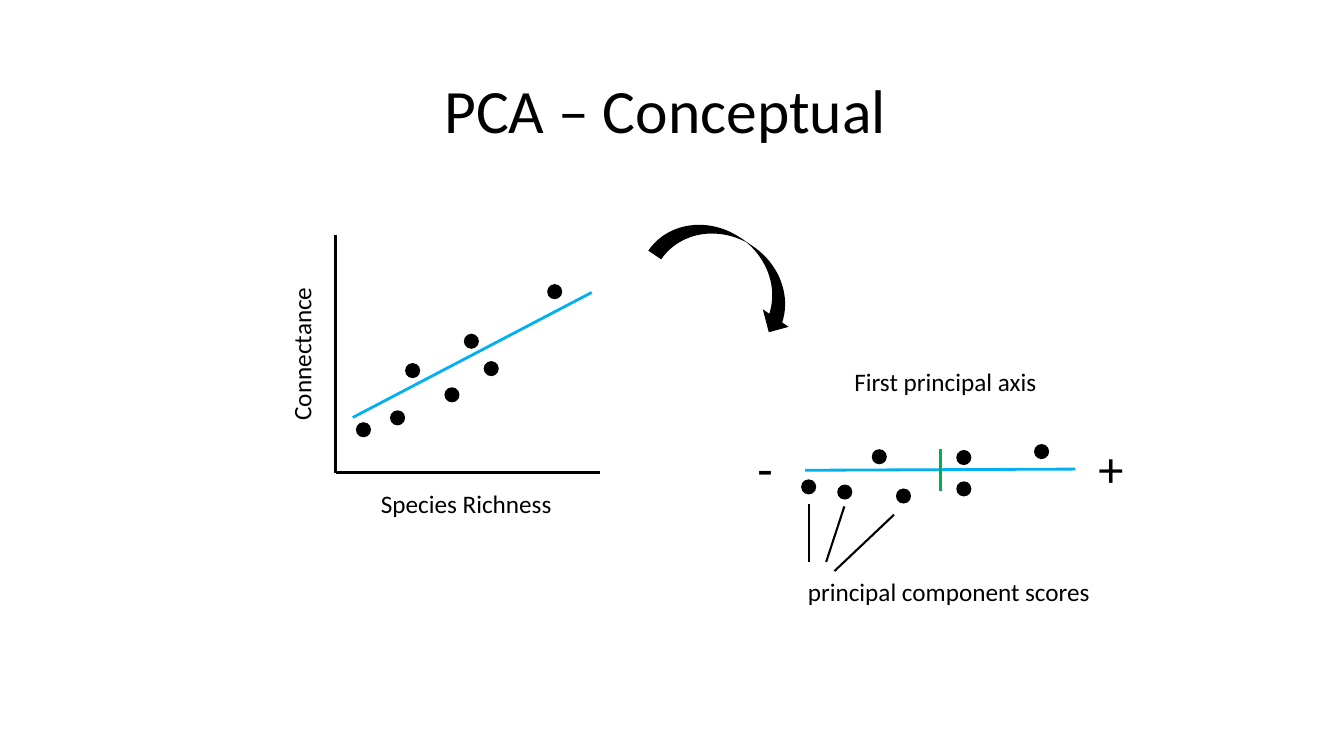
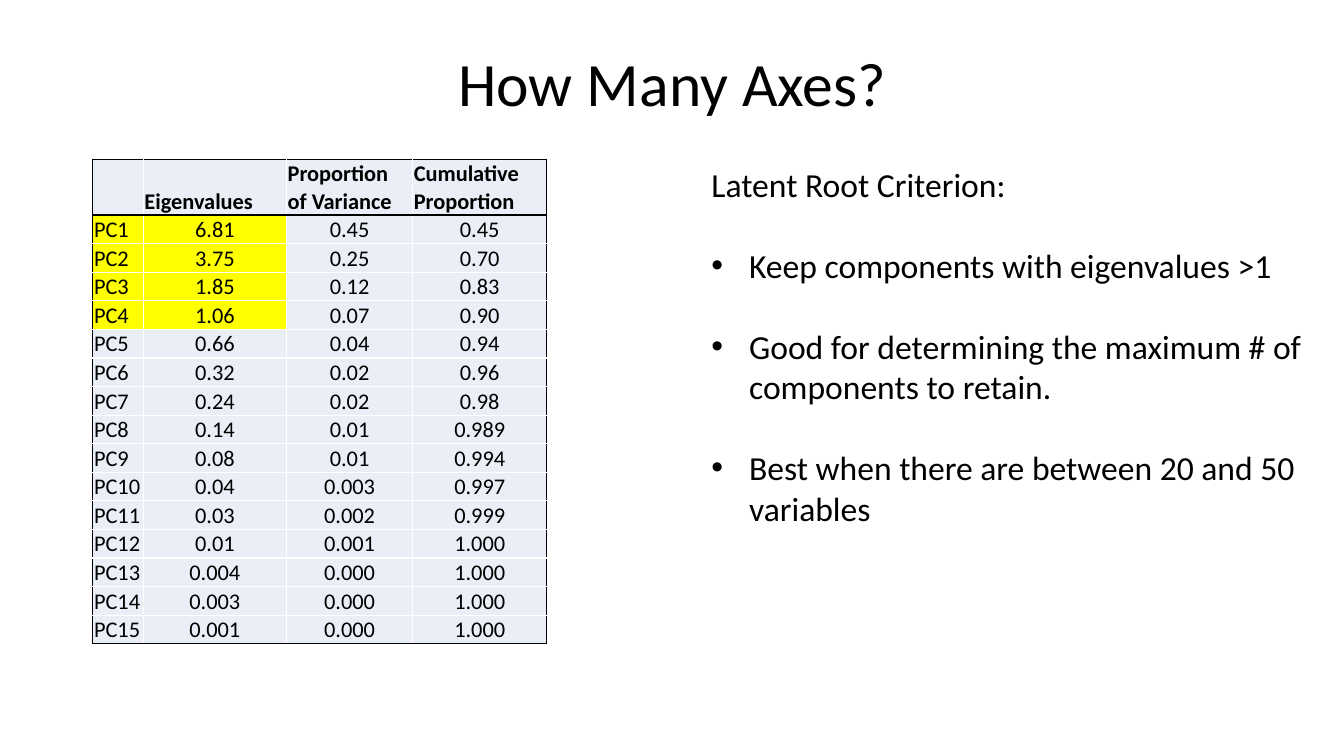
from dataclasses import dataclass

from lxml import etree
from pptx import Presentation
from pptx import util as u
from pptx.dml.color import RGBColor
from pptx.enum import shapes, text
from pptx.oxml import ns


@dataclass(frozen=True)
class Theme:
    font: str = "Calibri"
    ink: str = "000000"
    axis: str = "00B0F0"
    origin: str = "00B050"
    cell: str = "EAEFF7"
    highlight: str = "FFFF00"
    grid: str = "FFFFFF"
    title_size: int = 44
    sign_size: int = 36
    body_size: int = 24
    label_size: int = 18
    table_size: int = 16
    heavy: float = 2
    light: float = 1.5
    border: float = 1


THEME = Theme()
DOT = 0.38
LABEL_HEIGHT = 1.02

SCATTER_POINTS = [(1.94, 3.42), (1.56, 4.61), (2.93, 4.03), (3.42, 2.68),
                  (3.92, 3.37), (5.52, 1.43), (0.7, 4.91)]
SCORE_POINTS = [(1.87, -0.34), (1, 0.55), (2.48, 0.65), (4, -0.32),
                (4, 0.47), (5.96, -0.47), (0.09, 0.42)]
LEADERS = [((0.1, 0.86), (0.1, 2.31)), ((0.99, 0.91), (0.53, 2.31)),
           ((2.24, 1.12), (0.74, 2.54))]

HEADINGS = ["", "Eigenvalues", "Proportion of Variance", "Cumulative Proportion"]
COMPONENTS = [
    ("6.81", "0.45", "0.45"),
    ("3.75", "0.25", "0.70"),
    ("1.85", "0.12", "0.83"),
    ("1.06", "0.07", "0.90"),
    ("0.66", "0.04", "0.94"),
    ("0.32", "0.02", "0.96"),
    ("0.24", "0.02", "0.98"),
    ("0.14", "0.01", "0.989"),
    ("0.08", "0.01", "0.994"),
    ("0.04", "0.003", "0.997"),
    ("0.03", "0.002", "0.999"),
    ("0.01", "0.001", "1.000"),
    ("0.004", "0.000", "1.000"),
    ("0.003", "0.000", "1.000"),
    ("0.001", "0.000", "1.000"),
]
CRITERIA = ["Keep components with eigenvalues >1",
            "Good for determining the maximum # of components to retain.",
            "Best when there are between 20 and 50 variables"]


def apply(target, values):
    for name, value in values.items():
        setattr(target, name, value)


def write(paragraph, content, size, bold=False):
    run = paragraph.add_run()
    run.text = content
    apply(run.font, {"name": THEME.font, "size": u.Pt(size), "bold": bold})
    run.font.color.rgb = RGBColor.from_string(THEME.ink)


def add_text(parent, box, content, size, wrap=False, rotation=0):
    shape = parent.add_textbox(*map(u.Cm, box))
    shape.rotation = rotation
    shape.text_frame.word_wrap = wrap
    write(shape.text_frame.paragraphs[0], content, size)
    return shape.text_frame


def add_solid(parent, preset, box, rotation=0):
    shape = parent.add_shape(preset, *map(u.Cm, box))
    shape.shadow.inherit = False
    shape.rotation = rotation
    shape.fill.solid()
    shape.fill.fore_color.rgb = RGBColor.from_string(THEME.ink)
    shape.line.fill.background()


def add_line(parent, origin, start, end, color=THEME.ink, width=THEME.heavy):
    left, top = origin
    points = (left + start[0], top + start[1], left + end[0], top + end[1])
    connector = parent.add_connector(shapes.MSO_CONNECTOR.STRAIGHT, *map(u.Cm, points))
    connector.line.color.rgb = RGBColor.from_string(color)
    connector.line.width = u.Pt(width)
    etree.SubElement(connector._element.spPr, ns.qn("a:effectLst"))


def add_dots(parent, origin, points):
    for x, y in points:
        add_solid(parent, shapes.MSO_SHAPE.OVAL,
                  (origin[0] + x - DOT / 2, origin[1] + y - DOT / 2, DOT, DOT))


def add_title(slide, content, top):
    frame = add_text(slide.shapes, (2.34, top, 29.21, 3.68), content,
                     THEME.title_size, wrap=True)
    frame.vertical_anchor = text.MSO_ANCHOR.MIDDLE
    apply(frame.paragraphs[0], {"alignment": text.PP_ALIGN.CENTER, "line_spacing": 0.9})


def add_scatter(slide, box):
    left, top, width, height = box
    origin = (left, top)
    group = slide.shapes.add_group_shape().shapes
    add_line(group, origin, (0, 0), (0, height))
    add_line(group, origin, (0, height), (width, height))
    add_text(group, (left + 0.89, top + height + 0.26, 4.85, LABEL_HEIGHT),
             "Species Richness", THEME.label_size)
    add_text(group, (left - 2.82, top + 2.46, 3.91, LABEL_HEIGHT),
             "Connectance", THEME.label_size, rotation=270)
    add_dots(group, origin, SCATTER_POINTS)
    add_line(group, origin, (0.43, 4.6), (6.45, 1.45), THEME.axis)


def add_principal_axis(slide, origin, length):
    left, top = origin
    group = slide.shapes.add_group_shape().shapes
    add_dots(group, origin, SCORE_POINTS)
    add_line(group, origin, (0, 0), (length, -0.03), THEME.axis)
    add_line(group, origin, (length / 2, -0.53), (length / 2, 0.53), THEME.origin)
    for start, end in LEADERS:
        add_line(group, origin, start, end, width=THEME.light)
    labels = [
        ((0.99, -2.74, 5.16, LABEL_HEIGHT), "First principal axis", THEME.label_size),
        ((-0.18, 2.54, 7.7, LABEL_HEIGHT), "principal component scores", THEME.label_size),
        ((-1.45, -0.97, 0.91, 1.8), "-", THEME.sign_size),
        ((length + 0.33, -0.97, 1.14, 1.8), "+", THEME.sign_size),
    ]
    for (x, y, width, height), content, size in labels:
        add_text(group, (left + x, top + y, width, height), content, size)


def set_border(cell, side, color):
    line = etree.SubElement(cell._tc.get_or_add_tcPr(), ns.qn("a:ln" + side),
                            w=str(u.Pt(THEME.border)))
    fill = etree.SubElement(line, ns.qn("a:solidFill"))
    etree.SubElement(fill, ns.qn("a:srgbClr"), val=color)


def add_eigenvalue_table(slide, origin):
    widths = (1.27, 3.61, 3.18, 3.38)
    heights = [1.41] + [0.72] * len(COMPONENTS)
    rows = [HEADINGS] + [(f"PC{number}", *values)
                         for number, values in enumerate(COMPONENTS, 1)]
    box = (*origin, sum(widths), sum(heights))
    table = slide.shapes.add_table(len(rows), len(widths), *map(u.Cm, box)).table
    apply(table, {"first_row": False, "horz_banding": False})
    for column, width in zip(table.columns, widths):
        column.width = u.Cm(width)
    for r, values in enumerate(rows):
        table.rows[r].height = u.Cm(heights[r])
        for c, value in enumerate(values):
            cell = table.cell(r, c)
            dark = {"L": c == 0, "R": c == len(widths) - 1,
                    "T": r <= 1, "B": r in (0, len(rows) - 1)}
            for side, is_dark in dark.items():
                set_border(cell, side, THEME.ink if is_dark else THEME.grid)
            apply(cell, {"margin_left": u.Cm(0.03), "margin_right": u.Cm(0.03),
                         "margin_top": u.Cm(0.03), "margin_bottom": 0,
                         "vertical_anchor": text.MSO_ANCHOR.BOTTOM})
            retained = r > 0 and c < 2 and float(rows[r][1]) > 1
            cell.fill.solid()
            cell.fill.fore_color.rgb = RGBColor.from_string(
                THEME.highlight if retained else THEME.cell)
            if value:
                paragraph = cell.text_frame.paragraphs[0]
                write(paragraph, value, THEME.table_size, bold=r == 0)
                if r and c:
                    paragraph.alignment = text.PP_ALIGN.CENTER


def add_criteria(slide, box):
    frame = add_text(slide.shapes, box, "Latent Root Criterion:", THEME.body_size, wrap=True)
    indent = u.Cm(0.95)
    for criterion in CRITERIA:
        paragraph = frame.add_paragraph()
        paragraph.space_before = u.Pt(29)
        write(paragraph, criterion, THEME.body_size)
        properties = paragraph._p.get_or_add_pPr()
        properties.set("marL", str(indent))
        properties.set("indent", str(-indent))
        etree.SubElement(properties, ns.qn("a:buFont"), typeface="Arial")
        etree.SubElement(properties, ns.qn("a:buChar"), char="•")


def build_concept_slide(slide):
    add_title(slide, "PCA – Conceptual ", 1.02)
    add_scatter(slide, (8.46, 5.92, 6.65, 5.99))
    add_principal_axis(slide, (20.29, 11.85), 6.81)
    add_solid(slide.shapes, shapes.MSO_SHAPE.CURVED_DOWN_ARROW,
              (16.43, 6.02, 4.06, 1.57), rotation=34.1)


def build_axes_slide(slide):
    add_title(slide, "How Many Axes?", 0.33)
    add_eigenvalue_table(slide, (2.34, 4.01))
    add_criteria(slide, (17.68, 4.01, 15.7, 11.02))


def main():
    presentation = Presentation()
    apply(presentation, {"slide_width": u.Cm(33.87), "slide_height": u.Cm(19.05)})
    for build in (build_concept_slide, build_axes_slide):
        build(presentation.slides.add_slide(presentation.slide_layouts[6]))
    presentation.save("out.pptx")


if __name__ == "__main__":
    main()
